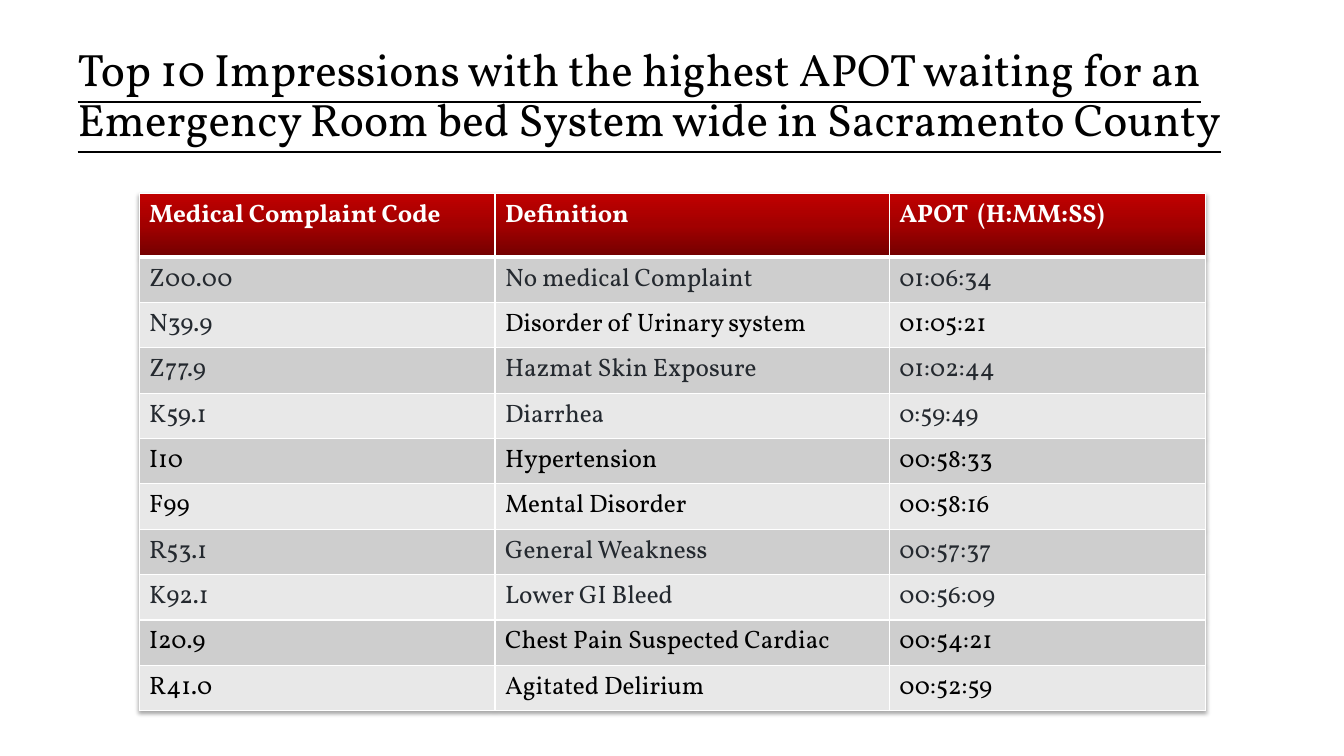
from pptx import Presentation
from pptx import util as u
from pptx.dml.color import RGBColor
from pptx.enum import text
from pptx.oxml import parse_xml

NS = 'xmlns:a="http://schemas.openxmlformats.org/drawingml/2006/main"'
HUES = {"white": "FFFFFF", "black": "000000", "slate": "24292F",
        "band": "CECECE", "pale": "E8E8E8",
        "deep": "720000", "mid": "A20000", "red": "C00000"}
HEAD = ("Medical Complaint Code", "Definition", "APOT  (H:MM:SS)")
ROWS = [
    ("Z00.00", "No medical Complaint", "01:06:34", 3),
    ("N39.9", "Disorder of Urinary system", "01:05:21", 1),
    ("Z77.9", "Hazmat Skin Exposure", "01:02:44", 3),
    ("K59.1", "Diarrhea", "0:59:49", 3),
    ("I10", "Hypertension", "00:58:33", 0),
    ("F99", "Mental Disorder", "00:58:16", 0),
    ("R53.1", "General Weakness", "00:57:37", 3),
    ("K92.1", "Lower GI Bleed", "00:56:09", 3),
    ("I20.9", "Chest Pain Suspected Cardiac", "00:54:21", 0),
    ("R41.0", "Agitated Delirium", "00:52:59", 0),
]


class Deck:
    font = "Vollkorn"

    def __init__(self, show):
        self.slide = show.slides.add_slide(show.slide_layouts[5])

    def hue(self, name):
        return RGBColor.from_string(HUES[name])

    def run(self, para, words, size, hue, bold=False, under=False):
        run = para.add_run()
        run.text = words
        font = run.font
        font.name, font.size = self.font, u.Pt(size)
        font.bold, font.underline = bold, under
        font.color.rgb = self.hue(hue)

    def title(self, words, left, top, width, height):
        box = self.slide.shapes.title
        box.left, box.top = u.Inches(left), u.Inches(top)
        box.width, box.height = u.Inches(width), u.Inches(height)
        box.fill.solid()
        box.fill.fore_color.rgb = self.hue("white")
        frame = box.text_frame
        frame.word_wrap = True
        frame.auto_size = text.MSO_AUTO_SIZE.NONE
        frame.vertical_anchor = text.MSO_ANCHOR.MIDDLE
        para = frame.paragraphs[0]
        para.alignment = text.PP_ALIGN.LEFT
        para.line_spacing = 0.92
        self.run(para, words, 32.4, "black", under=True)

    def edge(self, cell, base):
        props = cell._tc.get_or_add_tcPr()
        for side, width in zip("LRTB", (1, 1, 1, base)):
            props.append(parse_xml(
                f'<a:ln{side} {NS} w="{u.Pt(width)}"><a:solidFill>'
                f'<a:srgbClr val="{HUES["white"]}"/></a:solidFill></a:ln{side}>'))

    def fade(self, cell):
        stops = "".join(
            f'<a:gs pos="{pos}"><a:srgbClr val="{HUES[name]}"/></a:gs>'
            for pos, name in ((0, "deep"), (50000, "mid"), (100000, "red")))
        cell._tc.get_or_add_tcPr().append(parse_xml(
            f'<a:gradFill {NS} rotWithShape="1"><a:gsLst>{stops}</a:gsLst>'
            '<a:lin ang="16200000" scaled="0"/></a:gradFill>'))

    def cell(self, cell, words, hue, fill=None):
        self.edge(cell, 1 if fill else 3)
        if fill:
            cell.fill.solid()
            cell.fill.fore_color.rgb = self.hue(fill)
        else:
            self.fade(cell)
        self.run(cell.text_frame.paragraphs[0], words, 18, hue, bold=not fill)

    def table(self, left, top, wides, first, rest):
        high = first + rest * len(ROWS)
        grid = self.slide.shapes.add_table(
            len(ROWS) + 1, len(wides), u.Inches(left), u.Inches(top),
            u.Inches(sum(wides)), u.Inches(high)).table
        grid._tbl.tblPr.insert(0, parse_xml(
            f'<a:effectLst {NS}><a:outerShdw blurRad="40000" dist="23000" '
            f'dir="5400000" rotWithShape="0"><a:srgbClr val="{HUES["black"]}">'
            '<a:alpha val="35000"/></a:srgbClr></a:outerShdw></a:effectLst>'))
        for col, wide in zip(grid.columns, wides):
            col.width = u.Inches(wide)
        for num, row in enumerate(grid.rows):
            row.height = u.Inches(rest if num else first)
        for col, words in enumerate(HEAD):
            self.cell(grid.cell(0, col), words, "white")
        for num, (*words, dark) in enumerate(ROWS, 1):
            fill = "band" if num % 2 else "pale"
            for col, word in enumerate(words):
                hue = "slate" if col < dark else "black"
                self.cell(grid.cell(num, col), word, hue, fill)


def main():
    show = Presentation()
    show.slide_width, show.slide_height = u.Inches(13.33), u.Inches(7.5)
    deck = Deck(show)
    deck.title("Top 10 Impressions with the highest APOT waiting for an "
               "Emergency Room bed System wide in Sacramento County",
               0.67, 0.33, 12, 1.25)
    deck.table(1.38, 1.92, (3.53, 3.91, 3.14), 0.63, 0.45)
    show.save("out.pptx")


if __name__ == "__main__":
    main()
